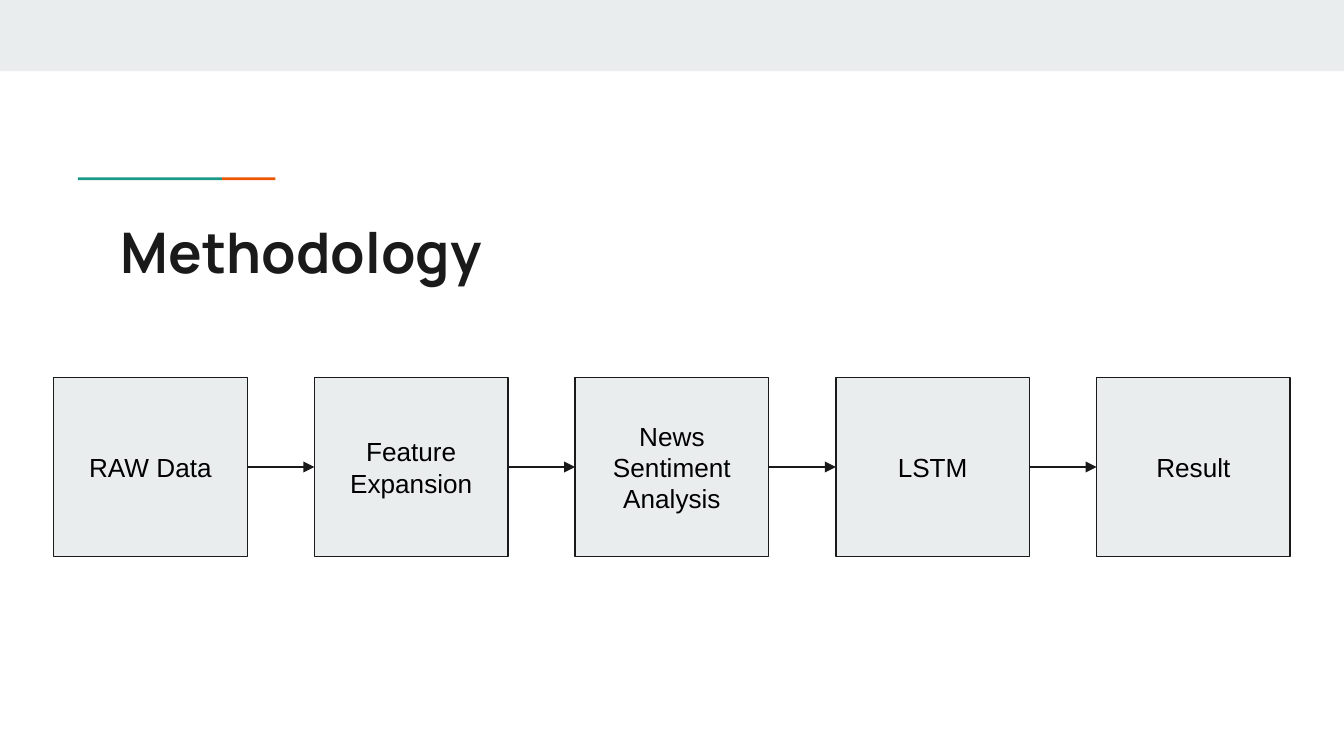
import pptx
import pptx.dml.color
import pptx.enum.shapes
import pptx.enum.text
import pptx.oxml.ns
import pptx.util
from lxml import etree

Inches = pptx.util.Inches
RGBColor = pptx.dml.color.RGBColor
SHAPE = pptx.enum.shapes.MSO_SHAPE
ALIGN = pptx.enum.text.PP_ALIGN
ANCHOR = pptx.enum.text.MSO_ANCHOR

PALE = RGBColor(0xE9, 0xED, 0xEE)
INK = RGBColor(0x1A, 0x1A, 0x1A)
BLACK = RGBColor(0x00, 0x00, 0x00)
TEAL = RGBColor(0x1A, 0x99, 0x88)
ORANGE = RGBColor(0xEB, 0x56, 0x00)

TITLE_FONT = {"name": "Manrope", "size": pptx.util.Pt(30), "bold": True}
STEP_FONT = {"name": "Arial", "size": pptx.util.Pt(14), "bold": False}
MARGINS = {
    "margin_left": Inches(0.1),
    "margin_right": Inches(0.1),
    "margin_top": Inches(0.1),
    "margin_bottom": Inches(0.1),
    "word_wrap": True,
}
TITLE_FRAME = {**MARGINS, "vertical_anchor": ANCHOR.TOP,
               "auto_size": pptx.enum.text.MSO_AUTO_SIZE.NONE}
STEP_FRAME = {**MARGINS, "vertical_anchor": ANCHOR.MIDDLE}
TITLE_PARAGRAPH = {"alignment": ALIGN.LEFT, "line_spacing": 1.15}
STEP_PARAGRAPH = {"alignment": ALIGN.CENTER}

STEPS = ["RAW Data", "Feature Expansion", "News Sentiment Analysis", "LSTM", "Result"]


def set_values(target, values):
    for name, value in values.items():
        setattr(target, name, value)


def write_text(box, text, frame_format, para_format, font_format, color):
    frame = box.text_frame
    set_values(frame, frame_format)
    para = frame.paragraphs[0]
    set_values(para, para_format)
    span = para.add_run()
    span.text = text
    set_values(span.font, font_format)
    span.font.color.rgb = color


def set_outline(line):
    line.color.rgb = INK
    line.width = pptx.util.Pt(0.75)


def add_rectangle(page, left, top, width, height, fill):
    box = page.shapes.add_shape(
        SHAPE.RECTANGLE, Inches(left), Inches(top), Inches(width), Inches(height))
    box.shadow.inherit = False
    box.fill.solid()
    box.fill.fore_color.rgb = fill
    box.line.fill.background()
    return box


def add_arrow(page, left, right, middle):
    arrow = page.shapes.add_connector(
        pptx.enum.shapes.MSO_CONNECTOR.STRAIGHT,
        Inches(left), Inches(middle), Inches(right), Inches(middle))
    set_outline(arrow.line)
    qn = pptx.oxml.ns.qn
    outline = arrow._element.spPr.find(qn("a:ln"))
    etree.SubElement(outline, qn("a:tailEnd"), type="triangle")
    etree.SubElement(arrow._element.spPr, qn("a:effectLst"))


def add_accent(page, left, top, width, height):
    teal_width = width * 0.73
    add_rectangle(page, left, top, teal_width, height, TEAL)
    add_rectangle(page, left + teal_width, top, width - teal_width, height, ORANGE)


def add_title(page, left, top, width, height):
    title = page.shapes.title
    set_values(title, {"left": Inches(left), "top": Inches(top),
                       "width": Inches(width), "height": Inches(height)})
    write_text(title, "Methodology", TITLE_FRAME, TITLE_PARAGRAPH, TITLE_FONT, INK)


def add_flow(page, left, top, width, height, gap=0.5):
    step_width = (width - gap * (len(STEPS) - 1)) / len(STEPS)
    for index, label in enumerate(STEPS):
        step_left = left + index * (step_width + gap)
        box = add_rectangle(page, step_left, top, step_width, height, PALE)
        set_outline(box.line)
        write_text(box, label, STEP_FRAME, STEP_PARAGRAPH, STEP_FONT, BLACK)
        if index:
            add_arrow(page, step_left - gap, step_left, top + height / 2)


def main():
    deck = pptx.Presentation()
    deck.slide_width = Inches(10)
    deck.slide_height = deck.slide_width * 9 // 16
    page = deck.slides.add_slide(deck.slide_layouts[5])
    add_rectangle(page, 0, 0, 10, 0.53, PALE)
    add_accent(page, 0.58, 1.32, 1.47, 0.02)
    add_title(page, 0.8, 1.44, 8.41, 0.59)
    add_flow(page, 0.4, 2.81, 9.2, 1.33)
    deck.save("out.pptx")


if __name__ == "__main__":
    main()
